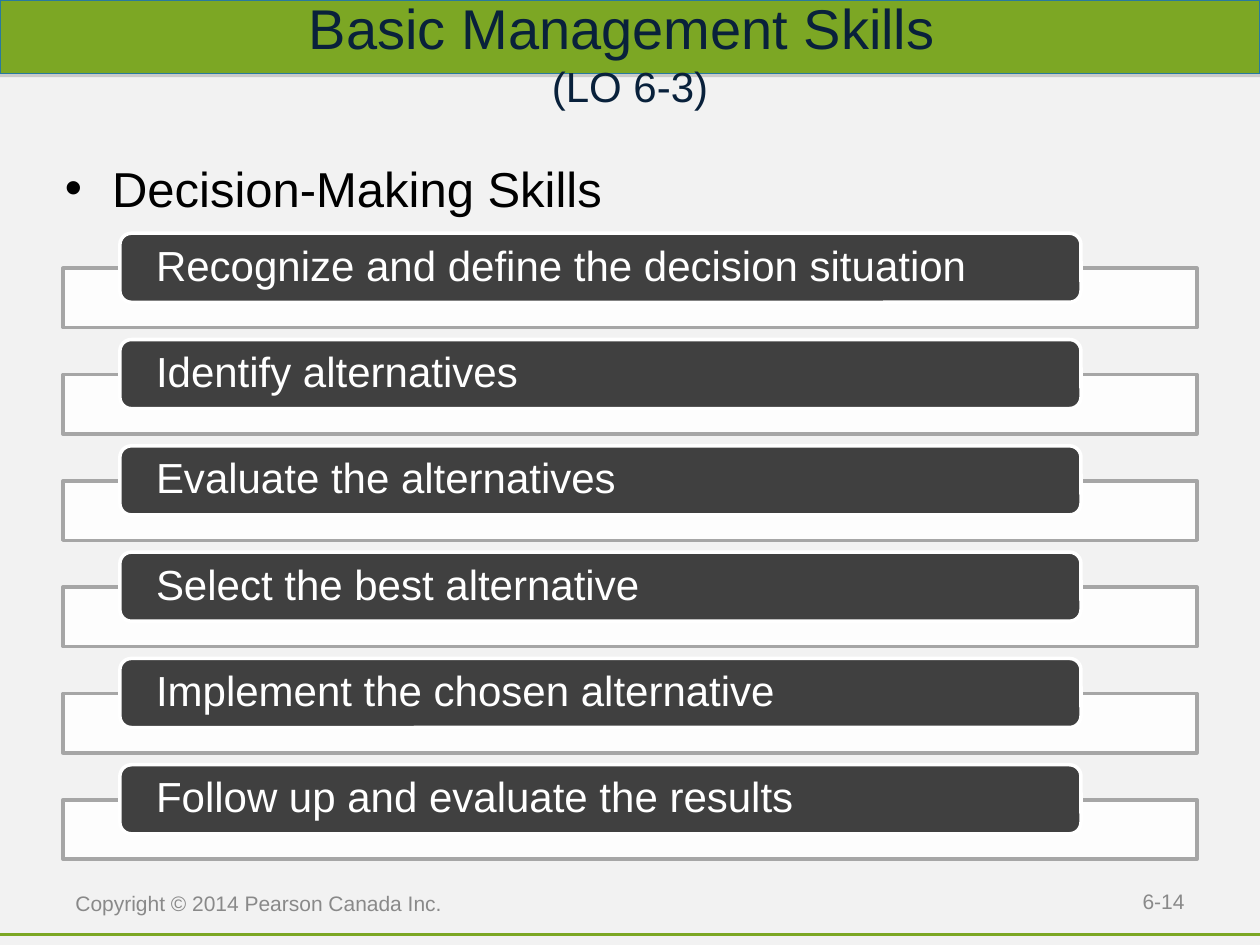
from lxml.etree import SubElement
from pptx import Presentation
from pptx.dml.color import RGBColor
from pptx.enum.shapes import MSO_CONNECTOR as Connector, MSO_SHAPE as Shape
from pptx.enum.text import MSO_ANCHOR as Anchor, MSO_AUTO_SIZE as AutoSize, PP_ALIGN as Align
from pptx.oxml.ns import qn
from pptx.util import Pt

BACKGROUND = RGBColor(0xF2, 0xF2, 0xF2)
GREEN = RGBColor(0x7C, 0xA7, 0x24)
BLUE = RGBColor(0x28, 0x7A, 0x9E)
NAVY = RGBColor(0x09, 0x21, 0x3B)
BLACK = RGBColor(0x00, 0x00, 0x00)
WHITE = RGBColor(0xFF, 0xFF, 0xFF)
CHARCOAL = RGBColor(0x40, 0x40, 0x40)
FRAME_GRAY = RGBColor(0xA6, 0xA6, 0xA6)
FOOTER_GRAY = RGBColor(0x89, 0x89, 0x89)

FONT = "Arial"
STEPS = [
    "Recognize and define the decision situation",
    "Identify alternatives",
    "Evaluate the alternatives",
    "Select the best alternative",
    "Implement the chosen alternative",
    "Follow up and evaluate the results",
]
FIRST_STEP_TOP = 133.25
STEP_PITCH = 60.75


def set_font(font, size, color):
    font.name = FONT
    font.size = Pt(size)
    font.color.rgb = color


def set_frame(frame, horizontal, vertical, anchor=Anchor.MIDDLE):
    frame.word_wrap = True
    frame.auto_size = AutoSize.NONE
    frame.vertical_anchor = anchor
    frame.margin_left = frame.margin_right = Pt(horizontal)
    frame.margin_top = frame.margin_bottom = Pt(vertical)


def add_box(slide, kind, left, top, width, height, fill, line, line_width):
    shape = slide.shapes.add_shape(kind, Pt(left), Pt(top), Pt(width), Pt(height))
    shape.shadow.inherit = False
    shape.fill.solid()
    shape.fill.fore_color.rgb = fill
    shape.line.color.rgb = line
    shape.line.width = Pt(line_width)
    return shape


def add_text(slide, text, left, top, width, height, size, color,
             align=Align.LEFT, anchor=Anchor.MIDDLE, bullet=False):
    box = slide.shapes.add_textbox(Pt(left), Pt(top), Pt(width), Pt(height))
    set_frame(box.text_frame, 7.2, 3.6, anchor)
    paragraph = box.text_frame.paragraphs[0]
    paragraph.text = text
    paragraph.alignment = align
    if bullet:
        add_bullet(paragraph)
    set_font(paragraph.font, size, color)
    return box


def add_bullet(paragraph):
    properties = paragraph._p.get_or_add_pPr()
    properties.set("marL", str(Pt(27)))
    properties.set("indent", str(-Pt(27)))
    SubElement(properties, qn("a:buFont"), typeface=FONT)
    SubElement(properties, qn("a:buChar"), char="•")


def add_band(slide):
    band = add_box(slide, Shape.RECTANGLE, 0, 0, 720, 42, GREEN, BLUE, 0.75)
    effects = band._element.spPr.find(qn("a:effectLst"))
    shadow = SubElement(effects, qn("a:outerShdw"), dist=str(Pt(1.8)),
                        dir="5400000", rotWithShape="0")
    color = SubElement(shadow, qn("a:srgbClr"), val="808080")
    SubElement(color, qn("a:alpha"), val="35000")
    return band


def add_footer_line(slide):
    line = slide.shapes.add_connector(Connector.STRAIGHT, 0, Pt(534), Pt(720), Pt(534))
    line.line.color.rgb = GREEN
    line.line.width = Pt(2)
    SubElement(line._element.spPr, qn("a:effectLst"))


def format_title(title, band):
    band._element.addnext(title._element)
    title.left, title.top, title.width, title.height = 0, 0, Pt(720), Pt(60)
    set_frame(title.text_frame, 18, 18)
    paragraph = title.text_frame.paragraphs[0]
    paragraph.text = "Basic Management Skills \v(LO 6-3)"
    paragraph.alignment = Align.CENTER
    set_font(paragraph.font, 32, NAVY)
    paragraph.runs[1].font.size = Pt(24)


def add_step(slide, text, top):
    frame = add_box(slide, Shape.RECTANGLE, 36, top + 20, 648, 34, WHITE, FRAME_GRAY, 2)
    fill_color = frame._element.spPr.find(qn("a:solidFill"))[0]
    SubElement(fill_color, qn("a:alpha"), val="90000")

    label = add_box(slide, Shape.ROUNDED_RECTANGLE, 68.5, top, 549.25, 39.5,
                    CHARCOAL, WHITE, 2)
    set_frame(label.text_frame, 18.75, 2)
    paragraph = label.text_frame.paragraphs[0]
    paragraph.text = text
    paragraph.alignment = Align.LEFT
    paragraph.line_spacing = 0.9
    set_font(paragraph.font, 24, WHITE)


def main():
    presentation = Presentation()
    presentation.slide_width, presentation.slide_height = Pt(720), Pt(540)
    slide = presentation.slides.add_slide(presentation.slide_layouts[5])
    slide.background.fill.solid()
    slide.background.fill.fore_color.rgb = BACKGROUND

    add_footer_line(slide)
    format_title(slide.shapes.title, add_band(slide))
    heading = add_text(slide, "Decision-Making Skills", 30, 84, 660, 48, 28, BLACK,
                       anchor=Anchor.TOP, bullet=True)
    heading.text_frame.margin_top = Pt(6.5)
    add_text(slide, "6-14", 516, 500.5, 168, 28.75, 12, FOOTER_GRAY, align=Align.RIGHT)
    add_text(slide, "Copyright © 2014 Pearson Canada Inc.", 36, 492, 228, 48, 12, FOOTER_GRAY)
    for index, step in enumerate(STEPS):
        add_step(slide, step, FIRST_STEP_TOP + index * STEP_PITCH)

    presentation.save("out.pptx")


if __name__ == "__main__":
    main()
